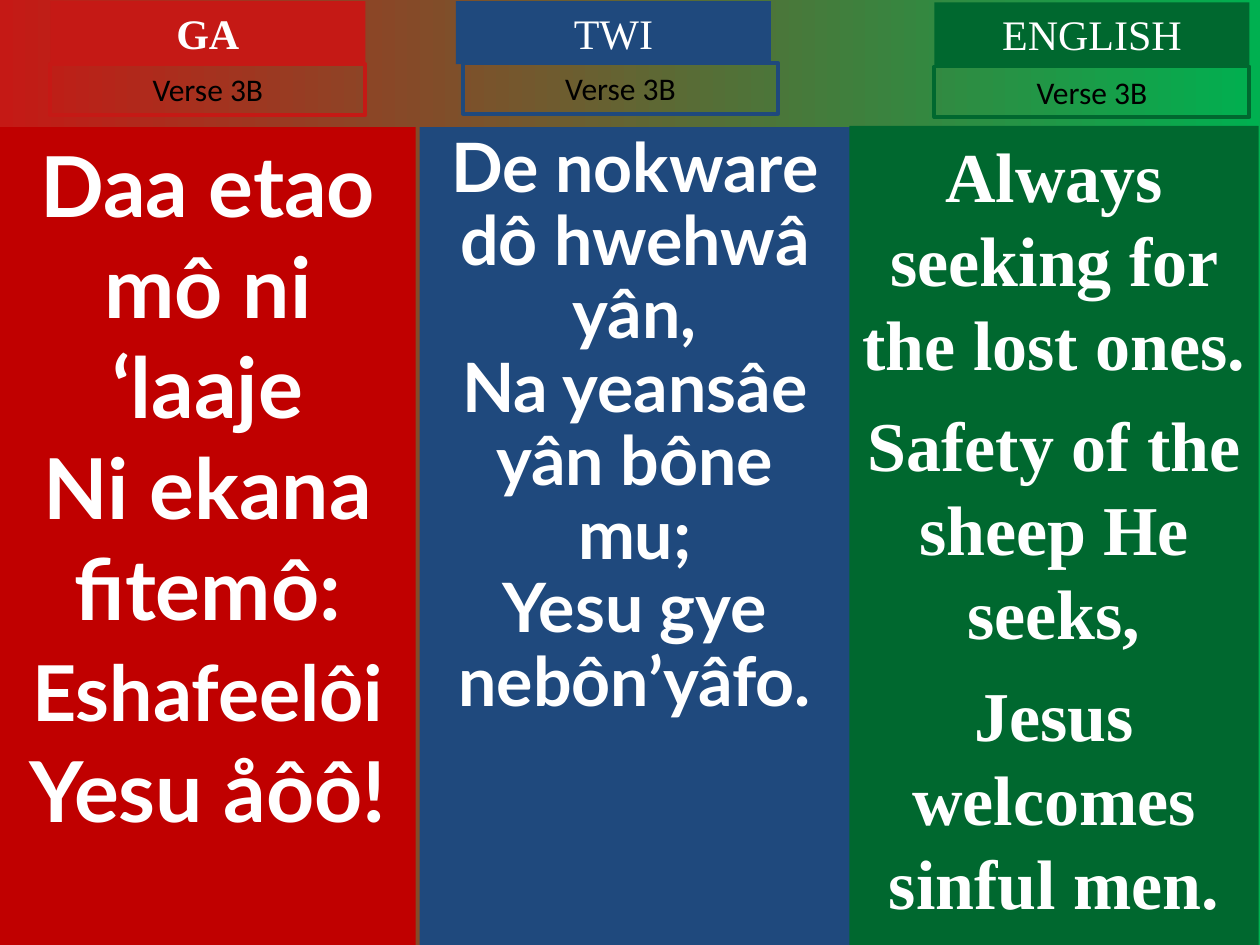
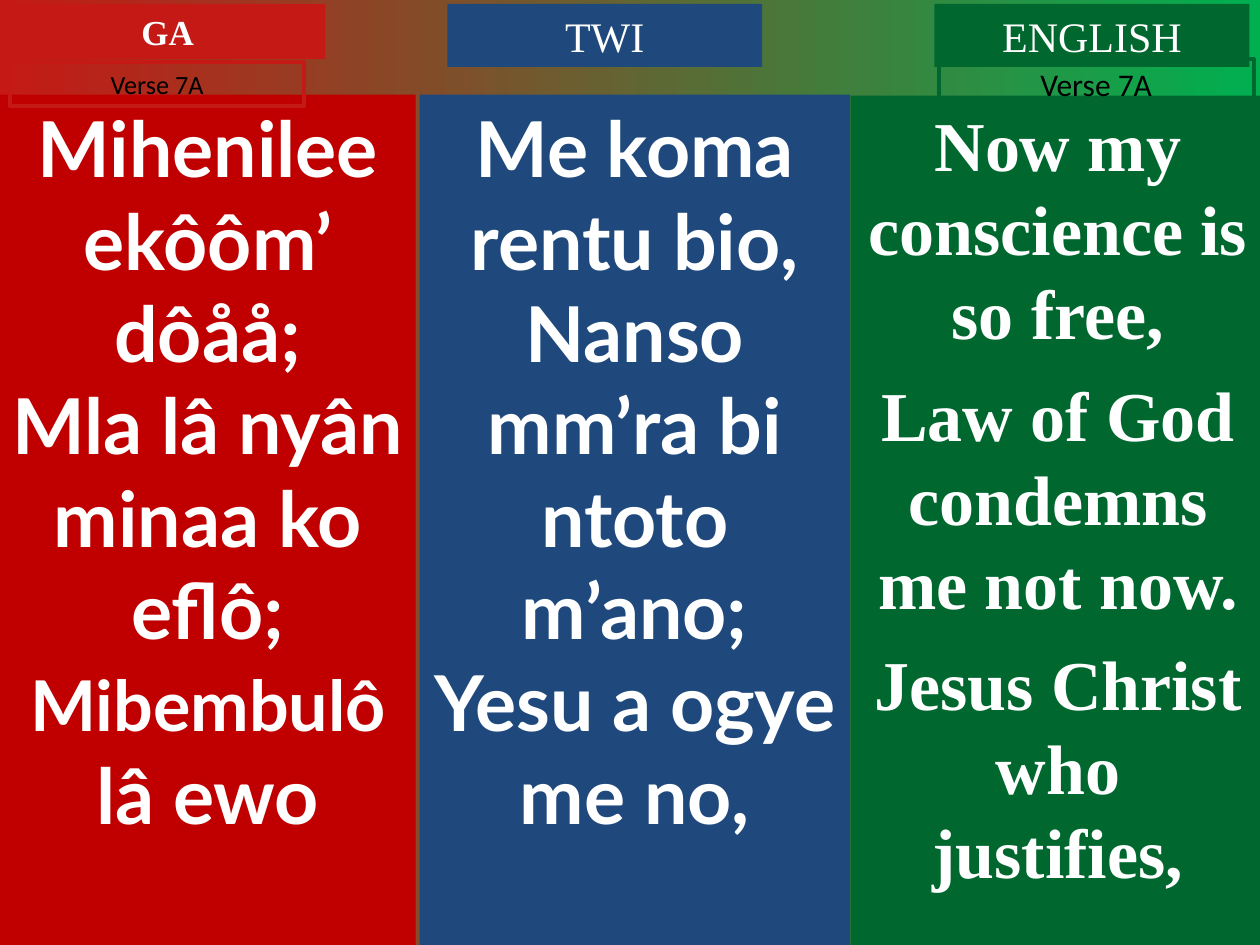
from dataclasses import dataclass
from typing import NamedTuple, Optional

from pptx import Presentation
from pptx.dml.color import RGBColor
from pptx.enum.shapes import MSO_SHAPE as Preset
from pptx.enum.text import MSO_ANCHOR as Anchor, PP_ALIGN as Align
from pptx.util import Pt

COLORS = {
    "ga_panel": "C00000",
    "ga": "C51915",
    "twi": "1F497D",
    "english": "00682F",
    "meadow": "00B050",
    "white": "FFFFFF",
    "black": "000000",
}
SLIDE_WIDTH, SLIDE_HEIGHT = 720, 540
TAG_WIDTH = 180


class Box(NamedTuple):
    left: float
    top: float
    width: float
    height: float


class Span(NamedTuple):
    text: str
    size: float


class TextStyle(NamedTuple):
    font: str
    color: str
    bold: bool = False
    line_spacing: Optional[float] = None
    space_before: float = 0


@dataclass(frozen=True)
class Language:
    name: str
    panel_color: str
    tag_color: str
    bold_name: bool
    lyrics: TextStyle


@dataclass(frozen=True)
class Column:
    language: Language
    panel: Box
    title: Box
    lyrics: list[list[Span]]
    verse: Optional[Box] = None
    title_size: float = 24
    verse_size: float = 18
    line_spacing: Optional[float] = None


LATO = TextStyle("Lato", "white", bold=True)
TIMES = TextStyle("Times New Roman", "white", bold=True,
                  line_spacing=Pt(48), space_before=10)
VERSE = TextStyle("Calibri", "black")

GA = Language("GA", "ga_panel", "ga", True, LATO)
TWI = Language("TWI", "twi", "twi", False, LATO)
ENGLISH = Language("ENGLISH", "english", "english", False, TIMES)


def rgb(name: str) -> RGBColor:
    return RGBColor.from_string(COLORS[name])


def lines(size: float, *texts: str) -> list[list[Span]]:
    return [[Span(text, size)] for text in texts]


def panel(left: float, top: float, width: float) -> Box:
    return Box(left, top, width, SLIDE_HEIGHT - top)


def tag(left: float, top: float, height: float = 36, width: float = TAG_WIDTH) -> Box:
    return Box(left, top, width, height)


def add_box(slide, box: Box, text_lines: list[list[Span]], style: TextStyle,
            fill: Optional[str] = None, outline: Optional[str] = None) -> None:
    shape = slide.shapes.add_shape(Preset.RECTANGLE, *map(Pt, box))
    shape.shadow.inherit = False
    if fill:
        shape.fill.solid()
        shape.fill.fore_color.rgb = rgb(fill)
    else:
        shape.fill.background()
    if outline:
        shape.line.color.rgb = rgb(outline)
        shape.line.width = Pt(2.25)
    else:
        shape.line.fill.background()
    frame = shape.text_frame
    frame.word_wrap = True
    frame.vertical_anchor = Anchor.TOP
    for index, spans in enumerate(text_lines):
        paragraph = frame.add_paragraph() if index else frame.paragraphs[0]
        paragraph.alignment = Align.CENTER
        paragraph.line_spacing = style.line_spacing
        if index and style.space_before:
            paragraph.space_before = Pt(style.space_before)
        for span in spans:
            run = paragraph.add_run()
            run.text = span.text
            run.font.size = Pt(span.size)
            run.font.name = style.font
            run.font.bold = style.bold
            run.font.color.rgb = rgb(style.color)


def add_column(slide, column: Column, verse_name: str) -> None:
    language = column.language
    lyrics_style = language.lyrics
    if column.line_spacing:
        lyrics_style = lyrics_style._replace(line_spacing=column.line_spacing)
    title_style = TextStyle("Times New Roman", "white", language.bold_name)
    add_box(slide, column.panel, column.lyrics, lyrics_style, fill=language.panel_color)
    add_box(slide, column.title, lines(column.title_size, language.name), title_style,
            fill=language.tag_color)
    if column.verse:
        add_box(slide, column.verse, lines(column.verse_size, verse_name), VERSE,
                outline=language.tag_color)


VERSES = {
    "Verse 3B": [
        Column(
            GA, panel(0, 72.6, 237.6), tag(28.8, 0.7),
            lines(48, "Daa etao mô ni ‘laaje", "Ni ekana fitemô:")
            + [[Span("Eshafeelôi", 44), Span(" Yesu åôô!", 48)]],
            verse=tag(28.8, 36.7, 29),
        ),
        Column(
            TWI, panel(239.8, 72.6, 246), tag(260.6, 0.7),
            lines(38.9, "De nokware dô hwehwâ yân,", "Na yeansâe yân bône mu;",
                  "Yesu gye nebôn’yâfo."),
            verse=tag(264.6, 36, 29), line_spacing=0.9,
        ),
        Column(
            ENGLISH, panel(485.3, 72, 234), tag(534, 1.4),
            lines(40, "Always seeking for the lost ones.",
                  "Safety of the sheep He seeks,", "Jesus welcomes sinful men."),
            verse=tag(534, 38, 29),
        ),
    ],
    "Verse 7A": [
        Column(
            GA, panel(0, 54, 237.6), tag(5.8, 2.2, 31.5),
            lines(44, "Mihenilee ekôôm’ dôåå;", "Mla lâ nyân minaa ko eflô;")
            + [[Span("Mibembulô", 40), Span(" lâ ewo", 44)]],
            verse=tag(5.8, 35.3, 25.4, 168), title_size=20, verse_size=15,
        ),
        Column(
            TWI, panel(239.8, 54, 246), tag(255.6, 2.2),
            lines(44, "Me koma rentu bio,", "Nanso mm’ra bi ntoto m’ano;",
                  "Yesu a ogye me no,"),
        ),
        Column(
            ENGLISH, panel(486, 54.7, 237), tag(534, 2.2),
            lines(40, "Now my conscience is so free,",
                  "Law of God condemns me not now.", "Jesus Christ who justifies,"),
            verse=tag(536.4, 33.8, 29),
        ),
    ],
}


def paint_background(master) -> None:
    fill = master.background.fill
    fill.gradient()
    fill.gradient_angle = 0
    for stop, name, position in zip(fill.gradient_stops, ("ga", "meadow"), (0, 1)):
        stop.color.rgb = rgb(name)
        stop.position = position


def main() -> None:
    deck = Presentation()
    deck.slide_width, deck.slide_height = Pt(SLIDE_WIDTH), Pt(SLIDE_HEIGHT)
    paint_background(deck.slide_master)
    for verse_name, columns in VERSES.items():
        slide = deck.slides.add_slide(deck.slide_layouts[6])
        for column in columns:
            add_column(slide, column, verse_name)
    deck.save("out.pptx")


if __name__ == "__main__":
    main()
